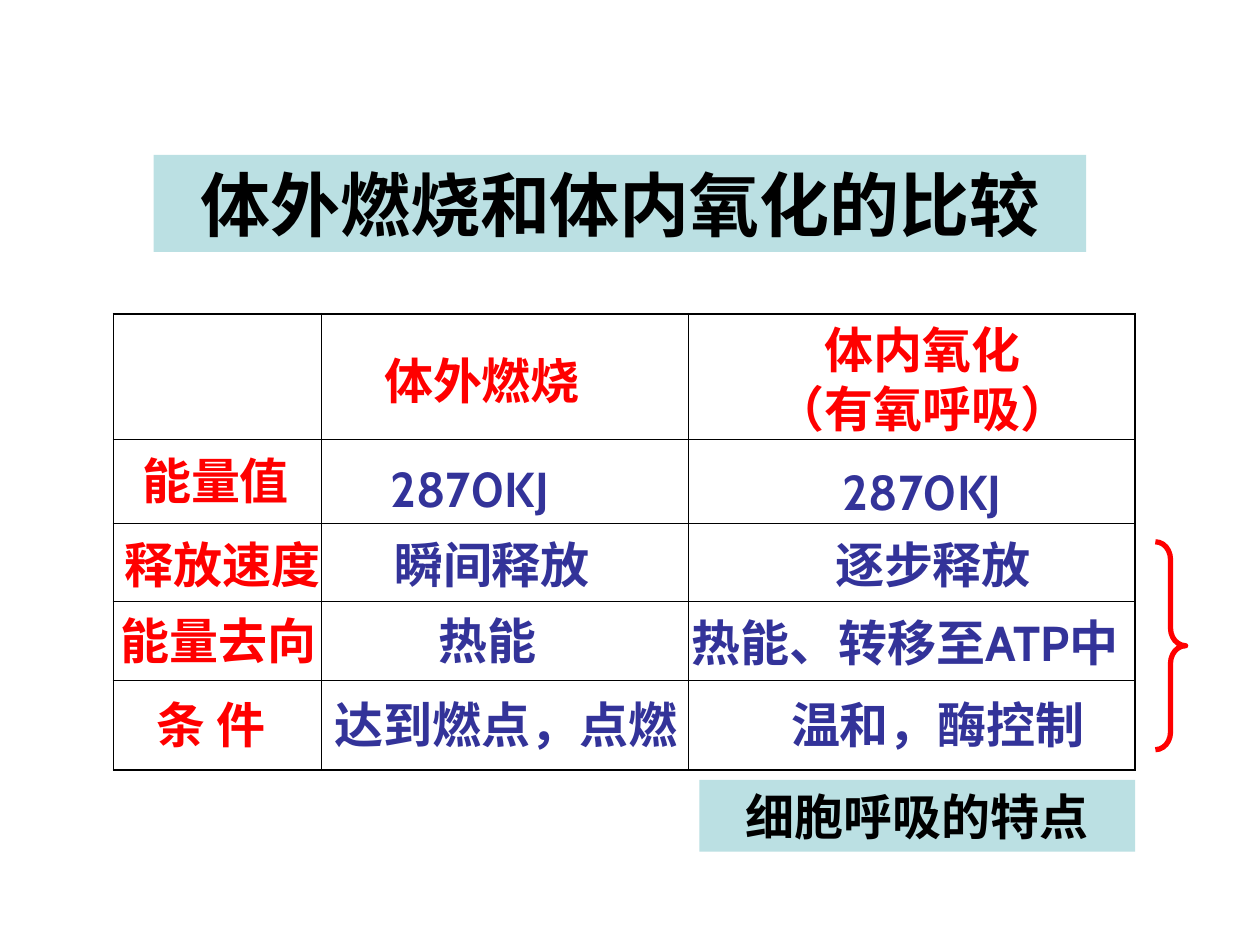
import pptx
import pptx.util
import pptx.dml.color
import pptx.enum.shapes
import pptx.enum.text
import pptx.oxml.ns
import lxml.etree

Inches = pptx.util.Inches
RGBColor = pptx.dml.color.RGBColor
Align = pptx.enum.text.PP_ALIGN
Shape = pptx.enum.shapes.MSO_SHAPE

BLACK = RGBColor(0x00, 0x00, 0x00)
RED = RGBColor(0xFF, 0x00, 0x00)
INDIGO = RGBColor(0x33, 0x33, 0x99)
PALE_TEAL = RGBColor(0xBB, 0xE0, 0xE3)

COLUMN_WIDTHS = [1.65, 2.91, 3.55]
ROW_HEIGHTS = [1, 0.66, 0.62, 0.63, 0.71]
THIN, THICK = 0.45, 1.08
LINE_HEIGHT = 0.57

HEADINGS = [
    ("体外燃烧", 2.05, 0.24, 2.08, LINE_HEIGHT, Align.LEFT),
    ("体内氧化\v（有氧呼吸）", 5.12, 0, 2.6, 1.04, Align.CENTER),
]
ROW_LABELS = [
    ("能量值", 0.13, 1.04, 1.58),
    ("释放速度", -0.01, 1.7, 2),
    ("能量去向", -0.04, 2.31, 2),
    ("条 件", 0.24, 2.97, 1.33),
]
VALUES = [
    ("2870KJ", 2.1, 1.1, 2),
    ("2870KJ", 5.69, 1.12, 2.08),
    ("瞬间释放", 2.13, 1.7, 2.32),
    ("逐步释放", 5.63, 1.7, 2.5),
    ("热能", 2.48, 2.31, 1.23),
    ("热能、转移至ATP中", 4.49, 2.32, 4.02),
    ("达到燃点，点燃", 1.66, 2.97, 3.46),
    ("温和，酶控制", 5.28, 2.97, 2.91),
]


def write_text(box, text, color, size=28, font="Cabin", align=Align.LEFT):
    frame = box.text_frame
    frame.word_wrap = True
    frame.vertical_anchor = pptx.enum.text.MSO_ANCHOR.TOP
    frame.text = text
    para = frame.paragraphs[0]
    para.alignment = align
    for span in para.runs:
        formats = {"name": font, "size": pptx.util.Pt(size), "bold": True}
        for name, value in formats.items():
            setattr(span.font, name, value)
        span.font.color.rgb = color


def add_banner(page, left, top, width, height, text, size, font):
    box = page.shapes.add_shape(
        Shape.RECTANGLE, Inches(left), Inches(top), Inches(width), Inches(height))
    box.shadow.inherit = False
    box.fill.solid()
    box.fill.fore_color.rgb = PALE_TEAL
    box.line.fill.background()
    write_text(box, text, BLACK, size, font, Align.CENTER)


def add_label(page, left, top, width, height, text, color, align=Align.LEFT):
    box = page.shapes.add_textbox(
        Inches(left), Inches(top), Inches(width), Inches(height))
    write_text(box, text, color, align=align)


def set_borders(cell, weights):
    properties = cell._tc.get_or_add_tcPr()
    qn = pptx.oxml.ns.qn
    for side, weight in weights.items():
        line = lxml.etree.SubElement(
            properties, qn("a:ln" + side), w=str(pptx.util.Pt(weight)))
        fill = lxml.etree.SubElement(line, qn("a:solidFill"))
        lxml.etree.SubElement(fill, qn("a:srgbClr"), val=str(BLACK))


def add_grid(page, left, top, width, height):
    last_row, last_column = len(ROW_HEIGHTS) - 1, len(COLUMN_WIDTHS) - 1
    table = page.shapes.add_table(
        len(ROW_HEIGHTS), len(COLUMN_WIDTHS),
        Inches(left), Inches(top), Inches(width), Inches(height)).table
    table.first_row = False
    table.horz_banding = False
    for column, size in zip(table.columns, COLUMN_WIDTHS):
        column.width = Inches(size)
    for row, size in zip(table.rows, ROW_HEIGHTS):
        row.height = Inches(size)
    for r, row in enumerate(table.rows):
        for c, cell in enumerate(row.cells):
            outer = {"L": c == 0, "R": c == last_column,
                     "T": r == 0, "B": r == last_row}
            set_borders(cell, {side: THICK if edge else THIN
                               for side, edge in outer.items()})
            cell.fill.background()


def add_comparison(page, left, top, width, height):
    add_grid(page, left, top, width, height)
    for text, x, y, wide, high, align in HEADINGS:
        add_label(page, left + x, top + y, wide, high, text, RED, align)
    for entries, color in ((ROW_LABELS, RED), (VALUES, INDIGO)):
        for text, x, y, wide in entries:
            add_label(page, left + x, top + y, wide, LINE_HEIGHT, text, color)


def add_brace(page, left, top, width, height):
    brace = page.shapes.add_shape(
        Shape.RIGHT_BRACE, Inches(left), Inches(top), Inches(width), Inches(height))
    brace.shadow.inherit = False
    brace.adjustments[0] = 0.58
    brace.fill.background()
    brace.line.color.rgb = RED
    brace.line.width = pptx.util.Pt(3)


def main():
    deck = pptx.Presentation()
    deck.slide_width = Inches(10)
    deck.slide_height = Inches(7.5)
    page = deck.slides.add_slide(deck.slide_layouts[6])
    add_banner(page, 1.22, 1.23, 7.4, 0.77, "体外燃烧和体内氧化的比较", 40, "Cabin")
    add_comparison(page, 0.9, 2.49, 8.11, 3.62)
    add_banner(page, 5.55, 6.19, 3.46, LINE_HEIGHT, "细胞呼吸的特点", 28, "Arial")
    add_brace(page, 9.17, 4.3, 0.24, 1.65)
    deck.save("out.pptx")


if __name__ == "__main__":
    main()
